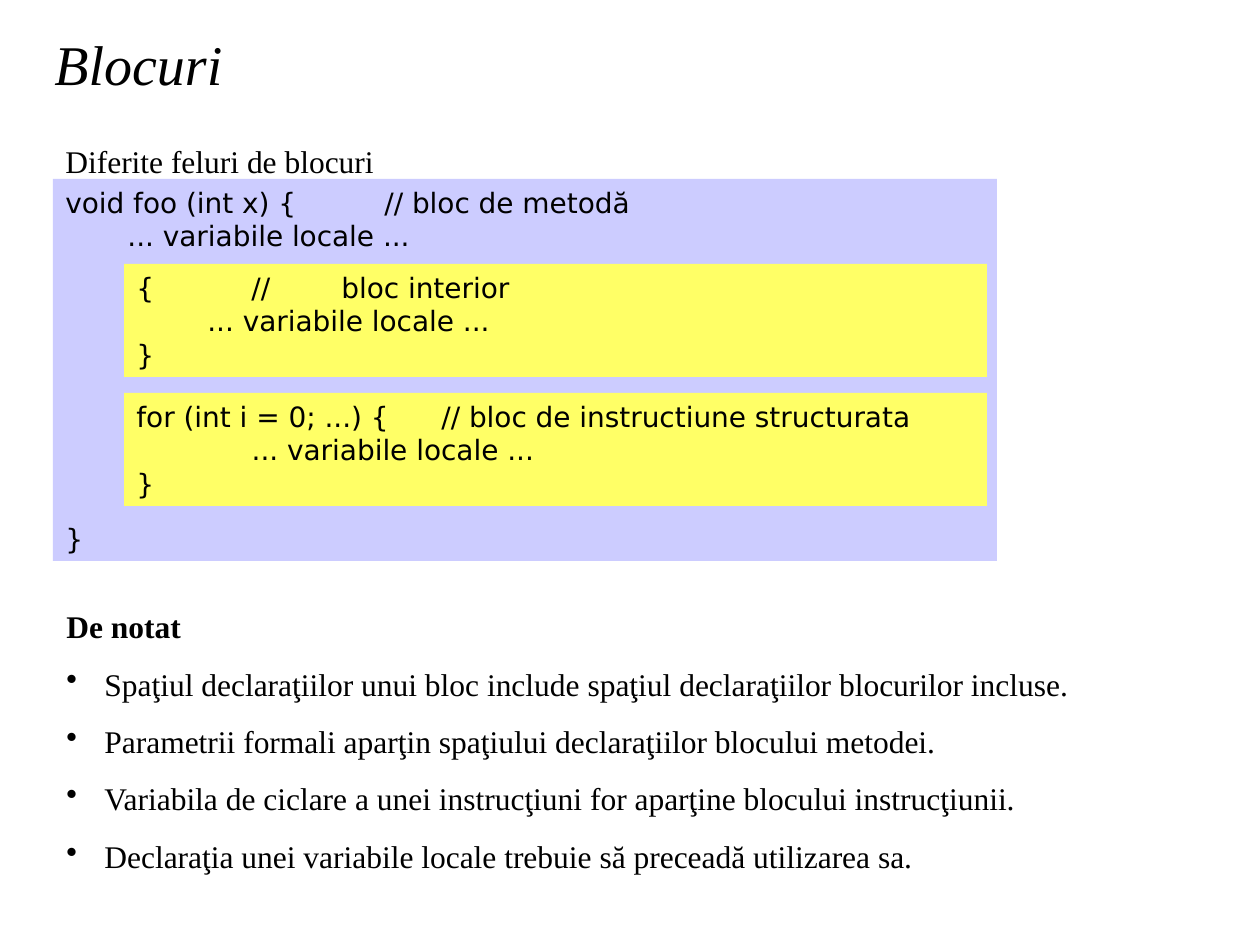
from dataclasses import dataclass

from lxml.etree import SubElement
from pptx import Presentation
from pptx.dml.color import RGBColor
from pptx.enum.shapes import MSO_SHAPE as Shape
from pptx.enum.text import MSO_ANCHOR as Anchor
from pptx.oxml.ns import qn
from pptx.util import Emu, Pt

# Content
TITLE = "Blocuri"
SUBTITLE = "Diferite feluri de blocuri"
METHOD_CODE = ["void foo (int x) {\t// bloc de metodă", "       ... variabile locale ...", "}"]
# Inner blocks: code lines and the tab stops of their comments
INNER_BLOCKS = [
    (["{\t//\tbloc interior", "        ... variabile locale ...", "}"], [115, 205]),
    (["for (int i = 0; ...) {\t// bloc de instructiune structurata",
      "             ... variabile locale ...", "}"], [305]),
]
NOTES_HEADING = "De notat"
NOTES = [
    "Spaţiul declaraţiilor unui bloc include spaţiul declaraţiilor blocurilor incluse.",
    "Parametrii formali aparţin spaţiului declaraţiilor blocului metodei.",
    "Variabila de ciclare a unei instrucţiuni for aparţine blocului instrucţiunii.",
    "Declaraţia unei variabile locale trebuie să preceadă utilizarea sa.",
]


@dataclass(frozen=True)
class Theme:
    ink: str = "000000"
    outer: str = "CCCCFF"
    inner: str = "FFFF66"
    serif: str = "Times New Roman"
    code: str = "DejaVu Sans"
    title_size: int = 32
    body_size: int = 18
    code_size: int = 16
    line_height: float = 1.2
    body_gap: float = 11.2
    closing_gap: int = 154


THEME = Theme()
EMU_PER_PX = 914400 // 126


def px(length):
    return Emu(length * EMU_PER_PX)


def add_box(slide, left, top, width, height, fill=None, anchor=Anchor.TOP):
    bounds = [px(length) for length in (left, top, width, height)]
    if fill:
        shape = slide.shapes.add_shape(Shape.RECTANGLE, *bounds)
        shape.shadow.inherit = False
        shape.fill.solid()
        shape.fill.fore_color.rgb = RGBColor.from_string(fill)
        shape.line.fill.background()
    else:
        shape = slide.shapes.add_textbox(*bounds)
    shape.text_frame.word_wrap = True
    shape.text_frame.vertical_anchor = anchor
    return shape.text_frame


def add_text(frame, text, *, size, font, bold=False, italic=False, before=0, tabs=(), bullet_indent=0):
    first = frame.paragraphs[0]
    paragraph = frame.add_paragraph() if first.runs else first
    paragraph.alignment = 1
    paragraph.line_spacing = Pt(size * THEME.line_height)
    paragraph.space_before = Pt(before)
    properties = paragraph._p.get_or_add_pPr()
    if bullet_indent:
        properties.set("marL", str(px(bullet_indent)))
        properties.set("indent", str(-px(bullet_indent)))
        SubElement(properties, qn("a:buChar"), char="•")
    if tabs:
        tab_list = SubElement(properties, qn("a:tabLst"))
        for stop in tabs:
            SubElement(tab_list, qn("a:tab"), pos=str(px(stop)), algn="l")
    run = paragraph.add_run()
    run.text = text
    run.font.size, run.font.name = Pt(size), font
    run.font.bold, run.font.italic = bold, italic
    run.font.color.rgb = RGBColor.from_string(THEME.ink)


presentation = Presentation()
presentation.slide_width, presentation.slide_height = px(1260), px(945)
slide = presentation.slides.add_slide(presentation.slide_layouts[6])
body = dict(size=THEME.body_size, font=THEME.serif)
code = dict(size=THEME.code_size, font=THEME.code)

# Title
title = add_box(slide, 42, 21, 221, 84, anchor=Anchor.MIDDLE)
add_text(title, TITLE, size=THEME.title_size, font=THEME.serif, italic=True)

# Method block, its closing brace below the inner blocks
method = add_box(slide, 53, 179, 944, 382, fill=THEME.outer)
*opening, closing = METHOD_CODE
for line in opening:
    add_text(method, line, tabs=[319], **code)
add_text(method, closing, before=THEME.closing_gap, **code)

# Subtitle
add_text(add_box(slide, 53, 136, 525, 50), SUBTITLE, **body)

# Inner blocks
INNER_TOP, INNER_PITCH = 264, 129
for index, (lines, stops) in enumerate(INNER_BLOCKS):
    block = add_box(slide, 124, INNER_TOP + index * INNER_PITCH, 863, 113, fill=THEME.inner)
    for line in lines:
        add_text(block, line, tabs=stops, **code)

# Notes
notes = add_box(slide, 54, 601, 1121, 281)
add_text(notes, NOTES_HEADING, bold=True, **body)
for note in NOTES:
    add_text(notes, note, before=THEME.body_gap, bullet_indent=38, **body)

presentation.save("out.pptx")
